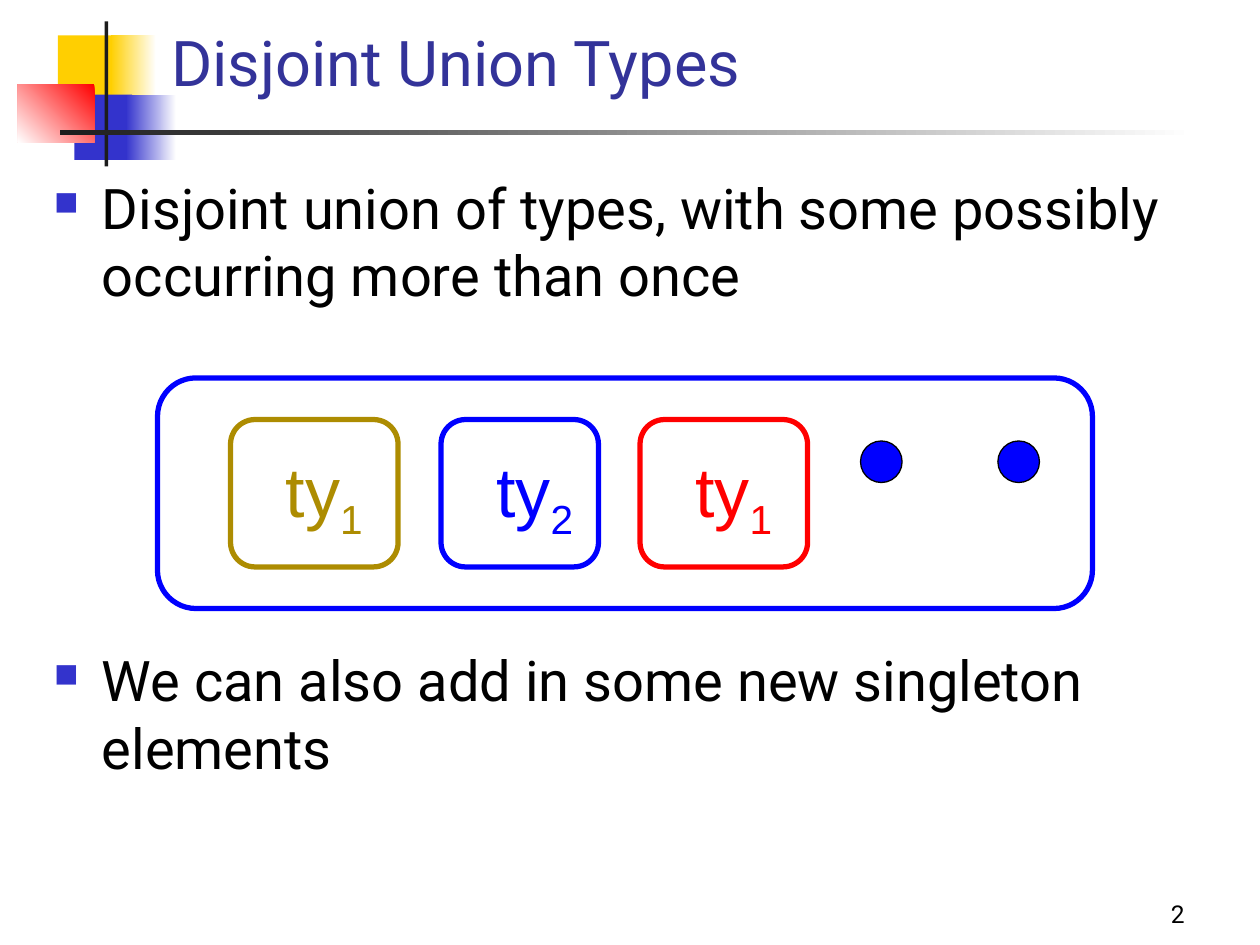
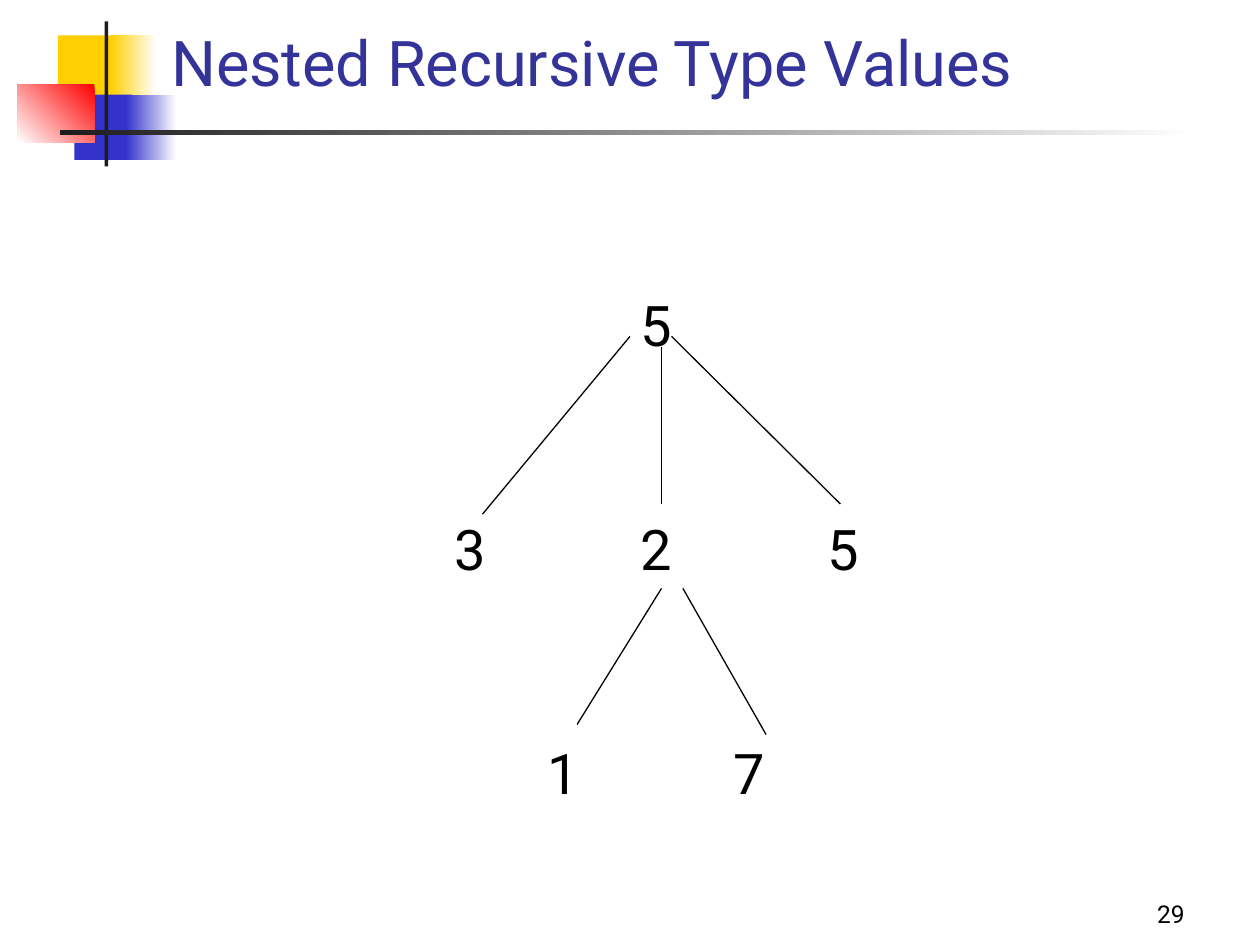
from dataclasses import dataclass

import pptx
import pptx.dml.color
import pptx.enum.dml
import pptx.enum.shapes
import pptx.enum.text
import pptx.oxml
import pptx.oxml.ns
import pptx.util
from lxml import etree

Inches = pptx.util.Inches
Pt = pptx.util.Pt
SHAPE = pptx.enum.shapes.MSO_SHAPE
ALIGN = pptx.enum.text.PP_ALIGN
ANCHOR = pptx.enum.text.MSO_ANCHOR


@dataclass(frozen=True)
class Theme:
    font: str = "Roboto"
    label_font: str = "Arial"
    title_size: int = 36
    body_size: int = 32
    label_size: int = 40
    number_size: int = 14
    title: str = "333399"
    text: str = "000000"
    white: str = "FFFFFF"
    yellow: str = "FFCF01"
    indigo: str = "3333CC"
    red: str = "FF0000"
    rule: str = "1C1C1C"
    blue: str = "0000FF"
    olive: str = "AD8C01"


THEME = Theme()


def rgb(color):
    return pptx.dml.color.RGBColor.from_string(color)


# Basic elements
def add_shape(page, kind, at, fill=None, line=None, width=0.75):
    shape = page.shapes.add_shape(kind, *map(Inches, at))
    shape.shadow.inherit = False
    if fill:
        shape.fill.solid()
        shape.fill.fore_color.rgb = rgb(fill)
    else:
        shape.fill.background()
    if line:
        shape.line.color.rgb = rgb(line)
        shape.line.width = Pt(width)
    else:
        shape.line.fill.background()
    return shape


def add_fade(page, at, start, end, angle=180):
    shape = add_shape(page, SHAPE.RECTANGLE, at)
    shape.fill.gradient()
    shape.fill.gradient_angle = angle
    for stop, color in zip(shape.fill.gradient_stops, (start, end)):
        stop.color.rgb = rgb(color)


def style(para, size, color=THEME.text, font=THEME.font):
    para.font.name = font
    para.font.size = Pt(size)
    para.font.color.rgb = rgb(color)


def add_frame(page, at, anchor=ANCHOR.TOP):
    box = page.shapes.add_textbox(*map(Inches, at))
    frame = box.text_frame
    frame.word_wrap = True
    frame.vertical_anchor = anchor
    return frame


def add_text(page, at, text, size, color=THEME.text, align=ALIGN.LEFT, anchor=ANCHOR.BOTTOM):
    para = add_frame(page, at, anchor).paragraphs[0]
    para.text = text
    para.alignment = align
    style(para, size, color)


def add_line(page, start, end):
    line = page.shapes.add_connector(
        pptx.enum.shapes.MSO_CONNECTOR.STRAIGHT, *map(Inches, start + end))
    line.line.color.rgb = rgb(THEME.text)
    line.line.width = Pt(0.75)
    etree.SubElement(line._element.spPr, pptx.oxml.ns.qn("a:effectLst"))


def set_bullet(para):
    properties = para._p.get_or_add_pPr()
    properties.set("marL", str(Inches(0.38)))
    properties.set("indent", str(-Inches(0.38)))
    color = etree.SubElement(properties, pptx.oxml.ns.qn("a:buClr"))
    etree.SubElement(color, pptx.oxml.ns.qn("a:srgbClr"), val=THEME.indigo)
    etree.SubElement(properties, pptx.oxml.ns.qn("a:buSzPct"), val="60000")
    etree.SubElement(properties, pptx.oxml.ns.qn("a:buChar"), char="■")


def add_bullets(page, at, items):
    """Each item is its text and the space before it in points."""
    frame = add_frame(page, at)
    for index, (text, space) in enumerate(items):
        para = frame.add_paragraph() if index else frame.paragraphs[0]
        para.text = text
        para.space_before = Pt(space)
        style(para, THEME.body_size)
        set_bullet(para)


# Frame shared by the slides
def add_page(deck, title, number):
    page = deck.slides.add_slide(deck.slide_layouts[6])
    add_shape(page, SHAPE.RECTANGLE, (0.46, 0.28, 0.48, 0.52), THEME.yellow)
    add_fade(page, (0.88, 0.28, 0.36, 0.52), THEME.white, THEME.yellow)
    add_shape(page, SHAPE.RECTANGLE, (0.59, 0.75, 0.46, 0.52), THEME.indigo)
    add_fade(page, (1, 0.75, 0.4, 0.52), THEME.white, THEME.indigo)
    add_fade(page, (0.14, 0.67, 0.61, 0.46), THEME.red, THEME.white, angle=225)
    add_shape(page, SHAPE.RECTANGLE, (0.83, 0.17, 0.03, 1.15), THEME.rule)
    add_fade(page, (0.48, 1.03, 9, 0.04), THEME.white, THEME.rule)
    add_text(page, (7.42, 6.92, 2.08, 0.5), str(number), THEME.number_size, align=ALIGN.RIGHT)
    add_text(page, (1.26, 0.18, 8.52, 0.66), title, THEME.title_size, THEME.title)
    return page


# Union diagram
def add_rounded(page, at, color):
    add_shape(page, SHAPE.ROUNDED_RECTANGLE, at, line=color, width=3)


def add_type(page, left, width, index, color):
    add_rounded(page, (left, 3.33, width, 1.17), color)
    frame = add_frame(page, (left + 0.34, 3.5, 1.08, 0.86))
    frame.auto_size = pptx.enum.text.MSO_AUTO_SIZE.SHAPE_TO_FIT_TEXT
    para = frame.paragraphs[0]
    para.space_before = Pt(25)
    style(para, THEME.label_size, color, THEME.label_font)
    para.add_run().text = "ty"
    span = para.add_run()
    span.text = index
    span._r.get_or_add_rPr().set("baseline", "-25000")


def add_union_slide(deck):
    page = add_page(deck, "Disjoint Union Types", 2)
    add_bullets(page, (0.33, 1.33, 9.46, 5.37), [
        ("Disjoint union of types, with some possibly occurring more than once", 8),
        ("We can also add in some new singleton elements", 193),
    ])
    add_rounded(page, (1.25, 3, 7.42, 1.83), THEME.blue)
    for left in (6.83, 7.92):
        add_shape(page, SHAPE.OVAL, (left, 3.5, 0.33, 0.33), THEME.blue, THEME.text)
    for left, width, index, color in (
        (1.83, 1.33, "1", THEME.olive),
        (3.5, 1.25, "2", THEME.blue),
        (5.08, 1.33, "1", THEME.red),
    ):
        add_type(page, left, width, index, color)


# Tree of values
def add_tree_slide(deck):
    page = add_page(deck, "Nested Recursive Type Values", 29)
    center, top, sibling_gap, level_gap, node = 5.21, 2.57, 1.48, 1.78, 0.6
    for level, values in enumerate(("5", "325", "17")):
        for index, value in enumerate(values):
            x = center + (index - (len(values) - 1) / 2) * sibling_gap
            y = top + level * level_gap
            add_text(page, (x - node / 2, y - node / 2, node, node), value,
                     THEME.body_size, align=ALIGN.CENTER, anchor=ANCHOR.MIDDLE)
    for start, end in (
        ((5, 2.67), (3.83, 4.08)),
        ((5.25, 2.75), (5.25, 4)),
        ((5.33, 2.67), (6.67, 4)),
        ((5.25, 4.67), (4.58, 5.75)),
        ((5.42, 4.67), (6.08, 5.83)),
    ):
        add_line(page, start, end)


def main():
    deck = pptx.Presentation()
    deck.slide_width, deck.slide_height = Inches(10), Inches(7.5)
    add_union_slide(deck)
    add_tree_slide(deck)
    deck.save("out.pptx")


if __name__ == "__main__":
    main()
